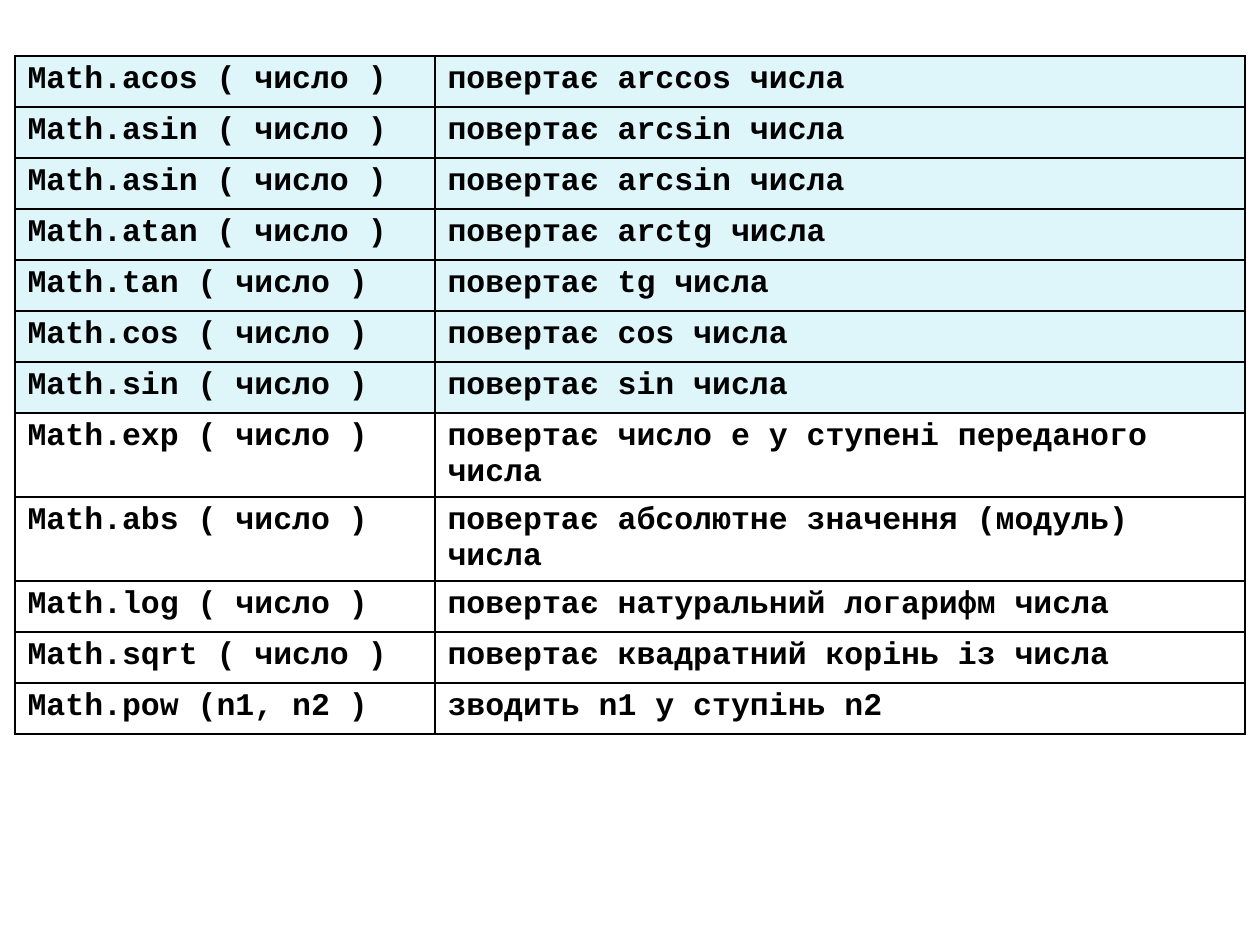
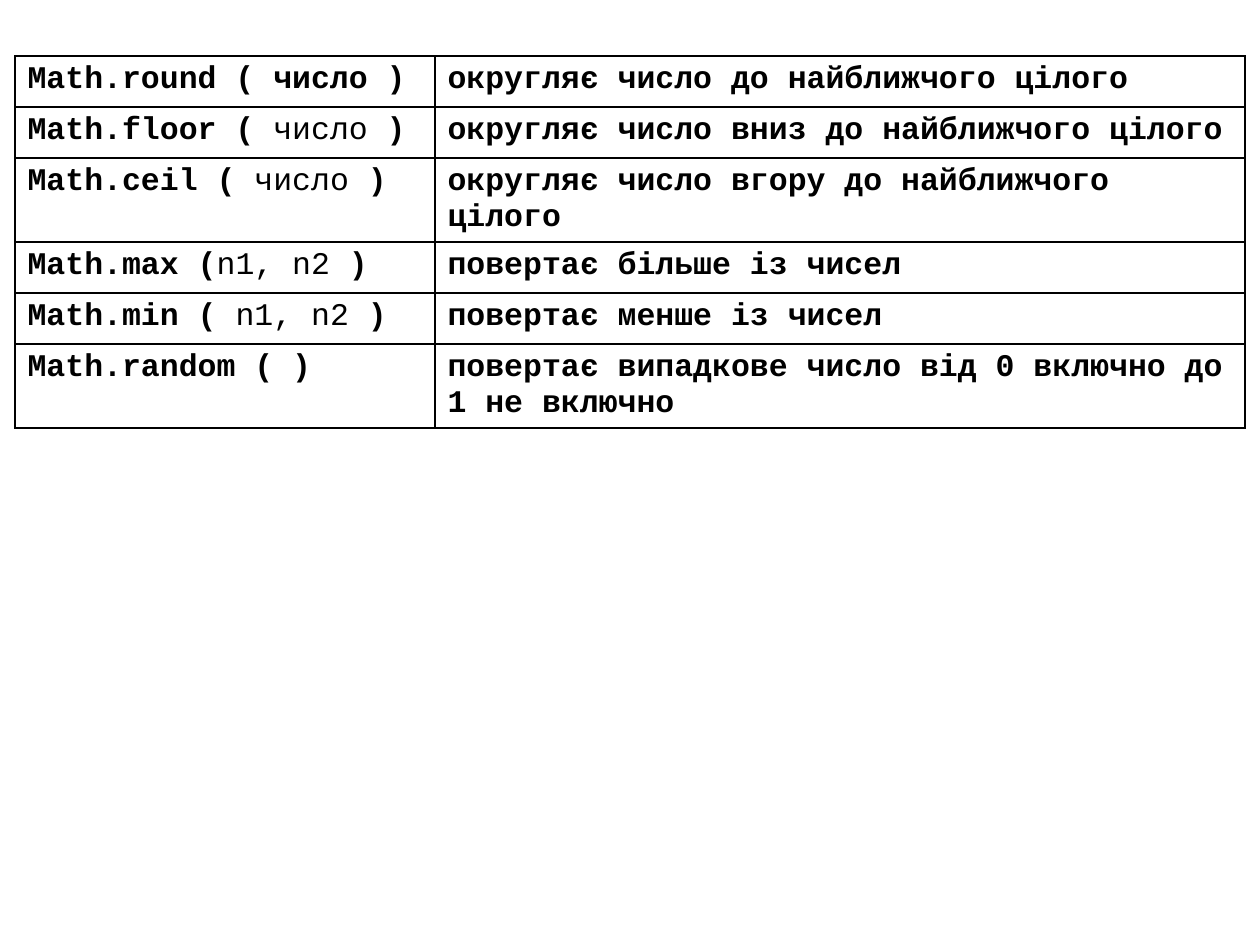
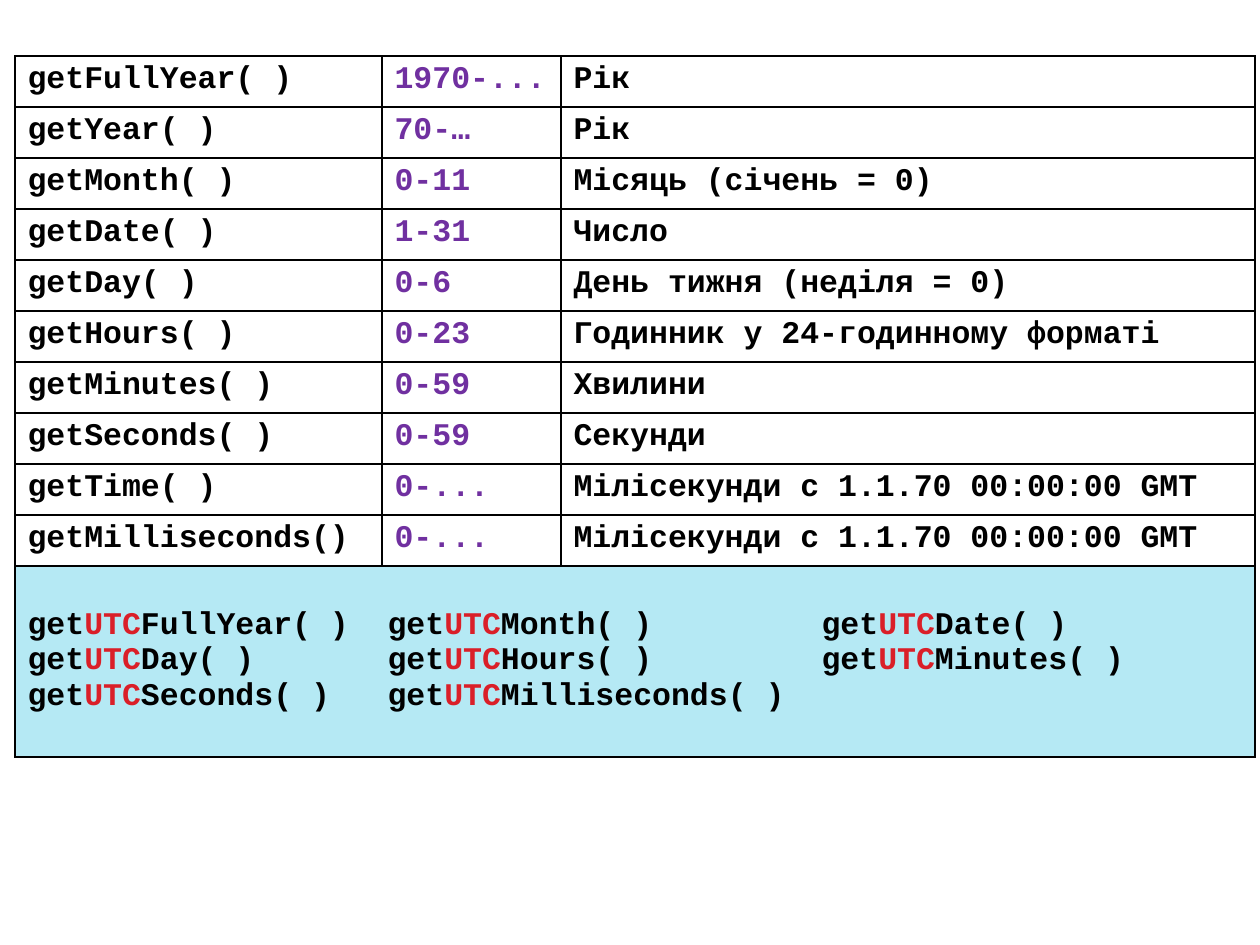
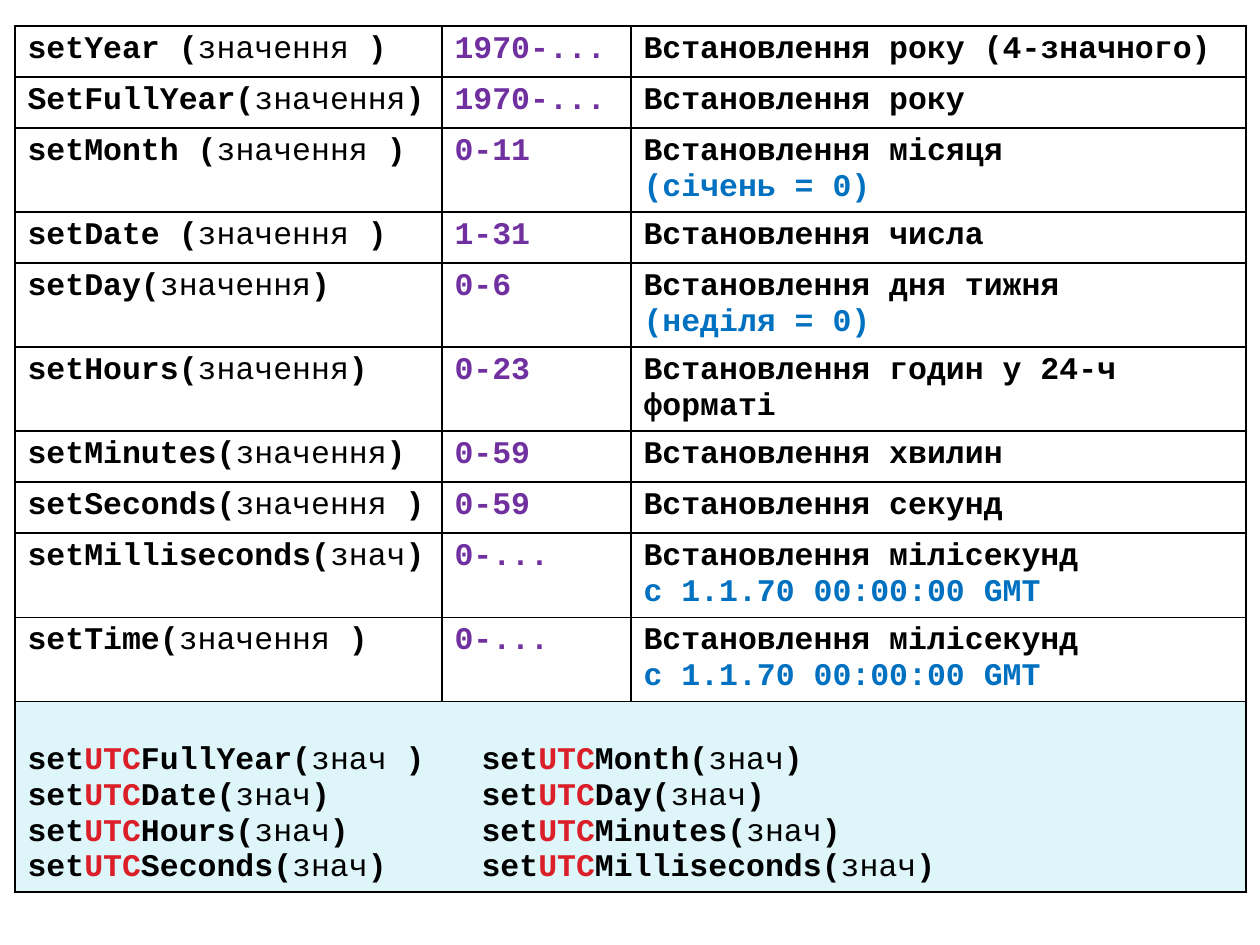
from pptx import Presentation
from pptx.dml.color import RGBColor
from pptx.oxml import parse_xml
from pptx.oxml.ns import nsdecls
from pptx.util import Pt

FONT, SIZE = "Courier New", 18
BLACK, WHITE = "000000", "FFFFFF"
PURPLE, BLUE, RED = "7030A0", "0070C0", "DA1F28"
PALE, AQUA = "DEF5FA", "B5E9F4"
LEFT, ROW, LINE, PAD = 15, 51, 36, 6
rgb = RGBColor.from_string


def px(n):
    return round(n * 914400 / 126)


def add_text(cell, text, color, note_color, tabs):
    """Write one paragraph a line; |...| is not bold, *...* is red."""
    tf = cell.text_frame
    for n, line in enumerate(text.split("\n")):
        p = tf.add_paragraph() if n else tf.paragraphs[0]
        if tabs:
            stops = "".join(f'<a:tab pos="{px(t)}" algn="l"/>' for t in tabs)
            pPr = p._p.get_or_add_pPr()
            pPr.append(parse_xml(f'<a:tabLst {nsdecls("a")}>{stops}</a:tabLst>'))
        for i, part in enumerate(line.split("|")):
            for j, piece in enumerate(part.split("*")):
                if not piece:
                    continue
                r = p.add_run()
                r.text = piece
                r.font.name, r.font.size = FONT, Pt(SIZE)
                r.font.bold = i % 2 == 0
                r.font.color.rgb = rgb(RED if j % 2 else note_color if n else color)


math_rows = [
    ("Math.acos ( число )", "повертає arccos числа"),
    ("Math.asin ( число )", "повертає arcsin числа"),
    ("Math.asin ( число )", "повертає arcsin числа"),
    ("Math.atan ( число )", "повертає arctg числа"),
    ("Math.tan ( число )", "повертає tg числа"),
    ("Math.cos ( число )", "повертає cos числа"),
    ("Math.sin ( число )", "повертає sin числа"),
    ("Math.exp ( число )", "повертає число e у ступені переданого числа"),
    ("Math.abs ( число )", "повертає абсолютне значення (модуль) числа"),
    ("Math.log ( число )", "повертає натуральний логарифм числа"),
    ("Math.sqrt ( число )", "повертає квадратний корінь із числа"),
    ("Math.pow (n1, n2 )", "зводить n1 у ступінь n2"),
]
rounding_rows = [
    ("Math.round ( число )", "округляє число до найближчого цілого"),
    ("Math.floor ( |число| )", "округляє число вниз до найближчого цілого"),
    ("Math.ceil ( |число| )", "округляє число вгору до найближчого цілого"),
    ("Math.max (|n1, n2| )", "повертає більше із чисел"),
    ("Math.min ( |n1, n2| )", "повертає менше із чисел"),
    ("Math.random ( )", "повертає випадкове число від 0 включно до 1 не включно"),
]
getter_rows = [
    ("getFullYear( )", "1970-...", "Рік"),
    ("getYear( )", "70-…", "Рік"),
    ("getMonth( )", "0-11", "Місяць (січень = 0)"),
    ("getDate( )", "1-31", "Число"),
    ("getDay( )", "0-6", "День тижня (неділя = 0)"),
    ("getHours( )", "0-23", "Годинник у 24-годинному форматі"),
    ("getMinutes( )", "0-59", "Хвилини"),
    ("getSeconds( )", "0-59", "Секунди"),
    ("getTime( )", "0-...", "Мілісекунди с 1.1.70 00:00:00 GMT"),
    ("getMilliseconds()", "0-...", "Мілісекунди с 1.1.70 00:00:00 GMT"),
    ("get*UTC*FullYear( )\tget*UTC*Month( )\tget*UTC*Date( )\n"
     "get*UTC*Day( )\tget*UTC*Hours( )\tget*UTC*Minutes( )\n"
     "get*UTC*Seconds( )\tget*UTC*Milliseconds( )",),
]
setter_rows = [
    ("setYear (|значення| )", "1970-...", "Встановлення року (4-значного)"),
    ("SetFullYear(|значення|)", "1970-...", "Встановлення року"),
    ("setMonth (|значення |)", "0-11", "Встановлення місяця\n(січень = 0)"),
    ("setDate (|значення |)", "1-31", "Встановлення числа"),
    ("setDay(|значення|)", "0-6", "Встановлення дня тижня\n(неділя = 0)"),
    ("setHours(|значення|)", "0-23", "Встановлення годин у 24-ч форматі"),
    ("setMinutes(|значення|)", "0-59", "Встановлення хвилин"),
    ("setSeconds(|значення| )", "0-59", "Встановлення секунд"),
    ("setMilliseconds(|знач|)", "0-...", "Встановлення мілісекунд\nс 1.1.70 00:00:00 GMT"),
    ("setTime(|значення |)", "0-...", "Встановлення мілісекунд\nс 1.1.70 00:00:00 GMT"),
    ("set*UTC*FullYear(|знач |)\tset*UTC*Month(|знач|)\n"
     "set*UTC*Date(|знач|)\tset*UTC*Day(|знач|)\n"
     "set*UTC*Hours(|знач|)\tset*UTC*Minutes(|знач|)\n"
     "set*UTC*Seconds(|знач|)\tset*UTC*Milliseconds(|знач|)",),
]

# top, height, column widths, rows, row fills, tab stops and bottom pad of the UTC row
tables = [
    (56, 688, (420, 810), math_rows, [PALE] * 7 + [None] * 5, (), PAD),
    (56, 381, (420, 810), rounding_rows, [None] * 6, (), PAD),
    (56, 713, (367, 179, 694), getter_rows, [WHITE] * 10 + [AQUA], (360, 794), PAD + LINE),
    (26, 898, (427, 189, 615), setter_rows, [WHITE] * 10 + [PALE], (454,), PAD),
]

prs = Presentation()
prs.slide_width, prs.slide_height = px(1260), px(945)

for top, height, widths, rows, fills, tabs, bottom_pad in tables:
    s = prs.slides.add_slide(prs.slide_layouts[6])
    frame = s.shapes.add_table(len(rows), len(widths), px(LEFT), px(top),
                               px(sum(widths)), px(height))
    table = frame.table
    table.first_row = table.horz_banding = False
    for column, width in zip(table.columns, widths):
        column.width = px(width)

    for y, (row, fill) in enumerate(zip(rows, fills)):
        table.rows[y].height = px(ROW)
        is_utc = len(row) == 1
        if is_utc:
            first = table.cell(y, 0)
            first.merge(table.cell(y, len(widths) - 1))
            first.margin_top, first.margin_bottom = px(PAD + LINE), px(bottom_pad)
        for x in range(len(widths)):
            cell = table.cell(y, x)
            if fill:
                cell.fill.solid()
                cell.fill.fore_color.rgb = rgb(fill)
            else:
                cell.fill.background()
            tcPr = cell._tc.get_or_add_tcPr()
            for i, side in enumerate("LRTB"):
                tcPr.insert(i, parse_xml(
                    f'<a:ln{side} {nsdecls("a")} w="{Pt(1)}"><a:solidFill>'
                    f'<a:srgbClr val="{BLACK}"/></a:solidFill></a:ln{side}>'))
            if x < len(row):
                is_range = len(widths) == 3 and x == 1
                add_text(cell, row[x], PURPLE if is_range else BLACK,
                         BLACK if is_utc else BLUE, tabs if is_utc else ())
    frame.height = px(height)

prs.save("out.pptx")
